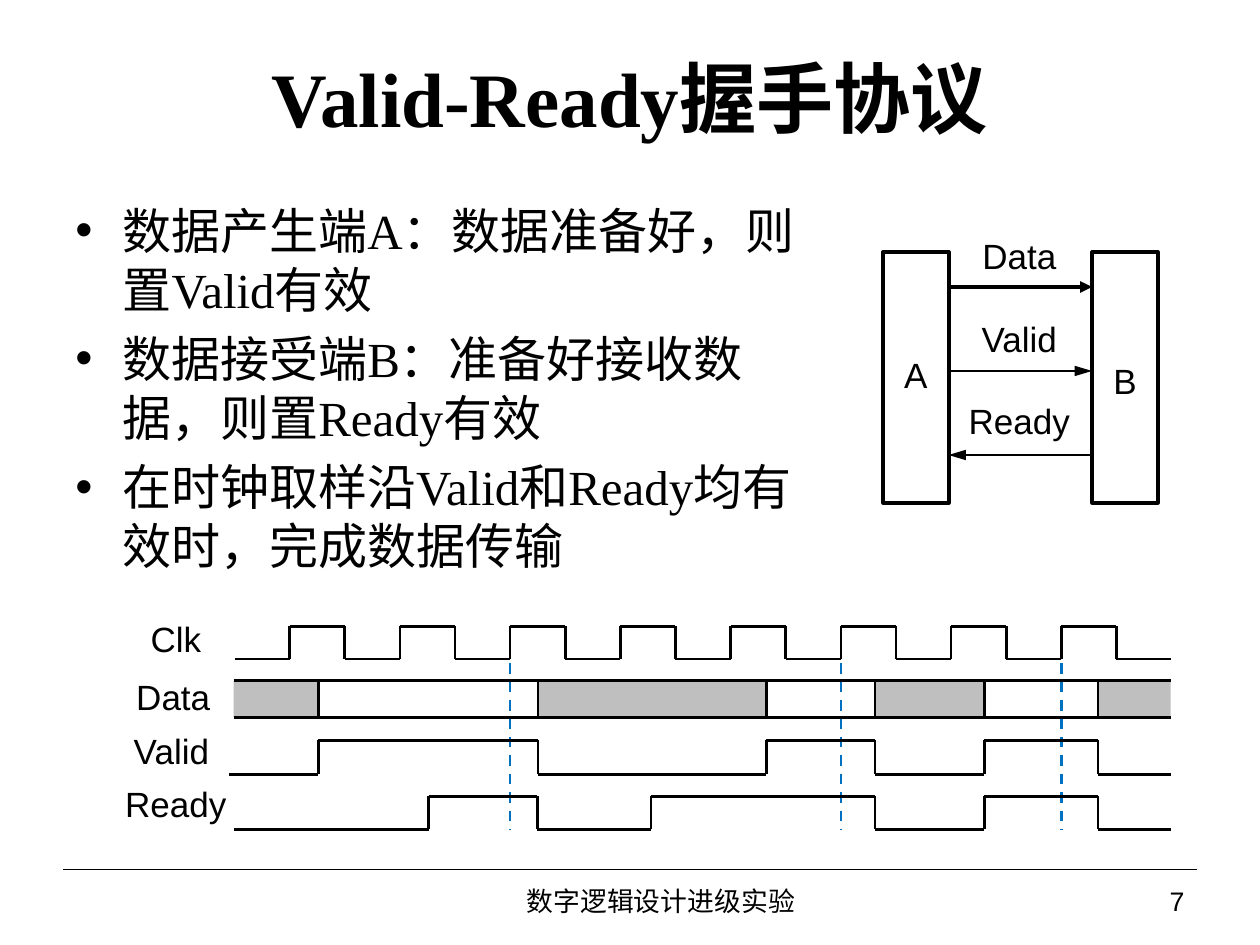
from lxml import etree
from pptx import Presentation
from pptx.dml.color import RGBColor
from pptx.enum.dml import MSO_LINE
from pptx.enum.shapes import MSO_CONNECTOR, MSO_SHAPE
from pptx.enum.text import MSO_ANCHOR, PP_ALIGN
from pptx.oxml.ns import qn
from pptx.util import Pt

BLACK = RGBColor(0x00, 0x00, 0x00)
GRAY = RGBColor(0xBF, 0xBF, 0xBF)
BLUE = RGBColor(0x00, 0x70, 0xC0)
STRAIGHT = MSO_CONNECTOR.STRAIGHT
RECTANGLE = MSO_SHAPE.RECTANGLE
DASH = MSO_LINE.DASH
LEFT, CENTER, RIGHT = PP_ALIGN.LEFT, PP_ALIGN.CENTER, PP_ALIGN.RIGHT
TOP, MIDDLE = MSO_ANCHOR.TOP, MSO_ANCHOR.MIDDLE
SERIF, SANS = "Times New Roman", "Arial"

LABEL_WIDTH, LABEL_HEIGHT = 64, 24
WAVE_END = 669
CLOCK_START, HALF_PERIOD = 165.5, 31.5
CLOCK_EDGES = [CLOCK_START + HALF_PERIOD * step for step in range(16)]
SAMPLE_EDGES = [CLOCK_EDGES[step] for step in (4, 10, 14)]
VALID_EDGES = [182, 307.5, 438, 500, 562.5, 627.5]
READY_EDGES = [245, 307, 372, 500, 562.5, 627.5]
BULLETS = [
    "数据产生端A：数据准备好，则置Valid有效",
    "数据接受端B：准备好接收数据，则置Ready有效",
    "在时钟取样沿Valid和Ready均有效时，完成数据传输",
]


def add_line(shapes, x1, y1, x2, y2, width=1.5, color=BLACK):
    line = shapes.add_connector(STRAIGHT, Pt(x1), Pt(y1), Pt(x2), Pt(y2))
    line.line.width = Pt(width)
    line.line.color.rgb = color
    etree.SubElement(line._element.spPr, qn("a:effectLst"))
    return line


def add_arrow(shapes, x1, x2, y, width, length):
    line = add_line(shapes, x1, y, x2, y, width)
    outline = line._element.spPr.find(qn("a:ln"))
    etree.SubElement(outline, qn("a:tailEnd"), type="triangle", w="med", len=length)


def add_rectangle(shapes, x, y, width, height, fill=None):
    box = shapes.add_shape(RECTANGLE, Pt(x), Pt(y), Pt(width), Pt(height))
    box.shadow.inherit = False
    if fill is None:
        box.fill.background()
        box.line.color.rgb = BLACK
        box.line.width = Pt(2.25)
    else:
        box.fill.solid()
        box.fill.fore_color.rgb = fill
        box.line.fill.background()


def add_text(shapes, text, x, y, width, height, size, font=SANS, align=CENTER,
             anchor=MIDDLE, bold=False):
    box = shapes.add_textbox(Pt(x), Pt(y), Pt(width), Pt(height))
    frame = box.text_frame
    frame.word_wrap = True
    frame.vertical_anchor = anchor
    frame.text = text
    for para in frame.paragraphs:
        para.alignment = align
        for span in para.runs:
            span.font.size = Pt(size)
            span.font.name = font
            span.font.bold = bold
            span.font.color.rgb = BLACK
    return frame


def add_label(shapes, text, center_x, center_y):
    frame = add_text(shapes, text, center_x - LABEL_WIDTH / 2, center_y - LABEL_HEIGHT / 2,
                     LABEL_WIDTH, LABEL_HEIGHT, 20)
    frame.word_wrap = False
    frame.margin_left = frame.margin_right = 0
    frame.margin_top = frame.margin_bottom = 0


def add_bullets(shapes):
    frame = add_text(shapes, "\n".join(BULLETS), 36, 111, 445.5, 230, 28,
                     SERIF, LEFT, TOP)
    for para in frame.paragraphs:
        para.space_after = Pt(6)
        properties = para._p.get_or_add_pPr()
        properties.set("marL", str(Pt(27)))
        properties.set("indent", str(Pt(-27)))
        properties.set("hangingPunct", "0")
        etree.SubElement(properties, qn("a:buFont"), typeface=SANS)
        etree.SubElement(properties, qn("a:buChar"), char="•")


def add_footer(shapes):
    add_line(shapes, 36, 496.8, 684, 496.8, 0.75)
    for text, x, width, align in (("7", 558, 126, RIGHT),
                                  ("数字逻辑设计进级实验", 203.8, 347.8, CENTER)):
        frame = add_text(shapes, text, x, 502.5, width, 26.6, 15.3, align=align)
        frame.paragraphs[0].line_spacing = 0.9


def add_handshake_diagram(shapes):
    for name, x, name_y in (("A", 504.7, 214), ("B", 624.2, 217.5)):
        add_rectangle(shapes, x, 144, 37.4, 143.3)
        add_label(shapes, name, x + 18.7, name_y)
    left, right = 542, 624
    for name, center_y in (("Data", 146), ("Valid", 193.7), ("Ready", 240)):
        add_label(shapes, name, 582.5, center_y)
    add_arrow(shapes, left, right, 164, 2.25, "med")
    add_arrow(shapes, left, right, 212, 1.5, "lg")
    add_arrow(shapes, right, left, 260, 1.5, "lg")


def add_wave(shapes, start, edges, high, low):
    stops = [start, *edges, WAVE_END]
    for index, (x1, x2) in enumerate(zip(stops, stops[1:])):
        level = high if index % 2 else low
        add_line(shapes, x1, level, x2, level)
    for x in edges:
        add_line(shapes, x, high, x, low)


def add_data_band(shapes, start, edges, top, bottom):
    stops = [start, *edges, WAVE_END]
    for x1, x2 in zip(stops[::2], stops[1::2]):
        add_rectangle(shapes, x1, top, x2 - x1, bottom - top, GRAY)
    for y in (top, bottom):
        add_line(shapes, start, y, WAVE_END, y)
    for x in edges:
        add_line(shapes, x, top, x, bottom)


def add_timing_diagram(shapes):
    for x in SAMPLE_EDGES:
        sample_line = add_line(shapes, x, 358, x, 474, color=BLUE)
        sample_line.line.dash_style = DASH
    for name, center_x, center_y in (("Clk", 100.5, 365), ("Data", 99, 398),
                                     ("Valid", 98, 429), ("Ready", 100.5, 459)):
        add_label(shapes, name, center_x, center_y)
    add_data_band(shapes, 133.5, VALID_EDGES, 389, 410)
    add_wave(shapes, 134.5, CLOCK_EDGES, 358, 376.5)
    add_wave(shapes, 131, VALID_EDGES, 423, 442.5)
    add_wave(shapes, 134, READY_EDGES, 455, 474)


def main():
    deck = Presentation()
    deck.slide_width, deck.slide_height = Pt(720), Pt(540)
    page = deck.slides.add_slide(deck.slide_layouts[6])
    add_footer(page.shapes)
    add_text(page.shapes, "Valid-Ready握手协议", 36, 21.6, 648, 67, 44, SERIF, bold=True)
    add_bullets(page.shapes)
    add_handshake_diagram(page.shapes.add_group_shape().shapes)
    add_timing_diagram(page.shapes.add_group_shape().shapes)
    deck.save("out.pptx")


if __name__ == "__main__":
    main()
